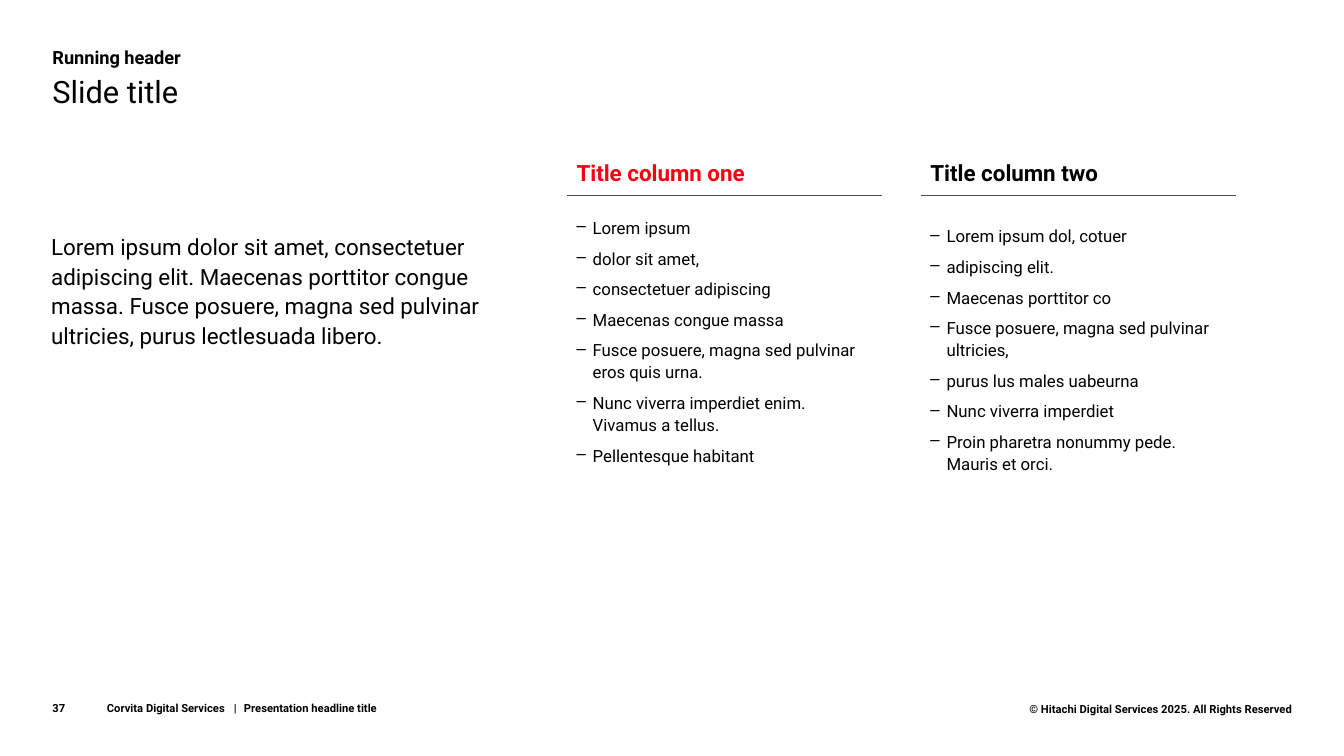
from lxml.etree import SubElement
from pptx import Presentation
from pptx.dml.color import RGBColor
from pptx.enum.shapes import MSO_CONNECTOR
from pptx.enum.text import MSO_ANCHOR, PP_ALIGN
from pptx.oxml.ns import qn
from pptx.util import Inches, Pt

BLACK, RED, GREY = "000000", "FA000F", "4D4D4D"
MARGIN = 0.52
COLUMN_LEFT, COLUMN_STEP, COLUMN_WIDTH = 5.62, 3.51, 3.13
COLUMN_TOP, RULE_TOP = 1.5, 1.94
BULLET_INDENT = Inches(0.16)
FOOTER_TABS = (1.26, 1.36)


def color(hex_code):
    return RGBColor.from_string(hex_code)


def add_text(box, lines, size, bold=False, spacing=1.0, inset=True):
    """Add a text box at box (left, top, width, height in inches), one paragraph per line."""
    frame = slide.shapes.add_textbox(*map(Inches, box)).text_frame
    frame.word_wrap = True
    if not inset:
        frame.margin_left = frame.margin_top = frame.margin_right = frame.margin_bottom = 0
    frame.text = "\n".join(lines)
    for paragraph in frame.paragraphs:
        paragraph.line_spacing = spacing
        for run in paragraph.runs:
            run.font.name = "Roboto"
            run.font.size = Pt(size)
            run.font.bold = bold
            run.font.color.rgb = color(BLACK)
    return frame


presentation = Presentation()
presentation.slide_width, presentation.slide_height = Inches(13.33), Inches(7.5)
slide = presentation.slides.add_slide(presentation.slide_layouts[6])

# Footer
copyright_frame = add_text((9.65, 6.97, 3.17, 0.14),
                           ["© Hitachi Digital Services 2025. All Rights Reserved"],
                           8, bold=True, inset=False)
copyright_frame.paragraphs[0].alignment = PP_ALIGN.RIGHT

footer_frame = add_text((1.06, 6.93, 3.98, 0.16),
                        ["Corvita Digital Services\t|\tPresentation headline title"],
                        8, bold=True, inset=False)
tab_list = SubElement(footer_frame.paragraphs[0]._p.get_or_add_pPr(), qn("a:tabLst"))
for position in FOOTER_TABS:
    SubElement(tab_list, qn("a:tab"), pos=str(Inches(position)), algn="l")

number_frame = add_text((MARGIN, 6.93, 0.47, 0.16), ["37"], 8, bold=True, inset=False)
for frame in (footer_frame, number_frame):
    frame.vertical_anchor = MSO_ANCHOR.BOTTOM

# Heading and introduction
add_text((MARGIN, 0.44, 5.02, 0.23), ["Running header"], 13, bold=True, spacing=1.1, inset=False)
add_text((MARGIN, 0.76, 2.95, 0.33), ["Slide title"], 22, spacing=0.9, inset=False)
add_text((0.41, 2.24, 4.67, 4.25),
         ["Lorem ipsum dolor sit amet, consectetuer adipiscing elit. Maecenas porttitor "
          "congue massa. Fusce posuere, magna sed pulvinar ultricies, purus lectlesuada libero."],
         16, spacing=1.1)

# Columns: title, title colour, gap below the title in points, bullets
columns = [
    ("Title column one", RED, 21.5, [
        "Lorem ipsum",
        "dolor sit amet,",
        "consectetuer adipiscing",
        "Maecenas congue massa",
        "Fusce posuere, magna sed pulvinar eros quis urna.",
        "Nunc viverra imperdiet enim. Vivamus a tellus.",
        "Pellentesque habitant",
    ]),
    ("Title column two", BLACK, 27.5, [
        "Lorem ipsum dol, cotuer",
        "adipiscing elit.",
        "Maecenas porttitor co",
        "Fusce posuere, magna sed pulvinar ultricies,",
        "purus lus males uabeurna",
        "Nunc viverra imperdiet",
        "Proin pharetra nonummy pede. Mauris et orci.",
    ]),
]
for index, (title, title_color, title_gap, bullets) in enumerate(columns):
    left = COLUMN_LEFT + index * COLUMN_STEP
    frame = add_text((left, COLUMN_TOP, COLUMN_WIDTH, 5.01), [title, *bullets], 12, spacing=1.1)
    title_paragraph, *bullet_paragraphs = frame.paragraphs
    title_font = title_paragraph.runs[0].font
    title_font.size, title_font.bold = Pt(16), True
    title_font.color.rgb = color(title_color)

    for paragraph in bullet_paragraphs:
        properties = paragraph._p.get_or_add_pPr()
        properties.set("marL", str(BULLET_INDENT))
        properties.set("indent", str(-BULLET_INDENT))
        SubElement(properties, qn("a:buChar"), char="–")
        paragraph.space_before = Pt(6)
    bullet_paragraphs[0].space_before = Pt(title_gap)

    rule = slide.shapes.add_connector(MSO_CONNECTOR.STRAIGHT, Inches(left), Inches(RULE_TOP),
                                      Inches(left + COLUMN_WIDTH), Inches(RULE_TOP))
    rule.line.color.rgb = color(GREY)
    rule.line.width = Pt(1)
    SubElement(rule._element.spPr, qn("a:effectLst"))

presentation.save("out.pptx")
